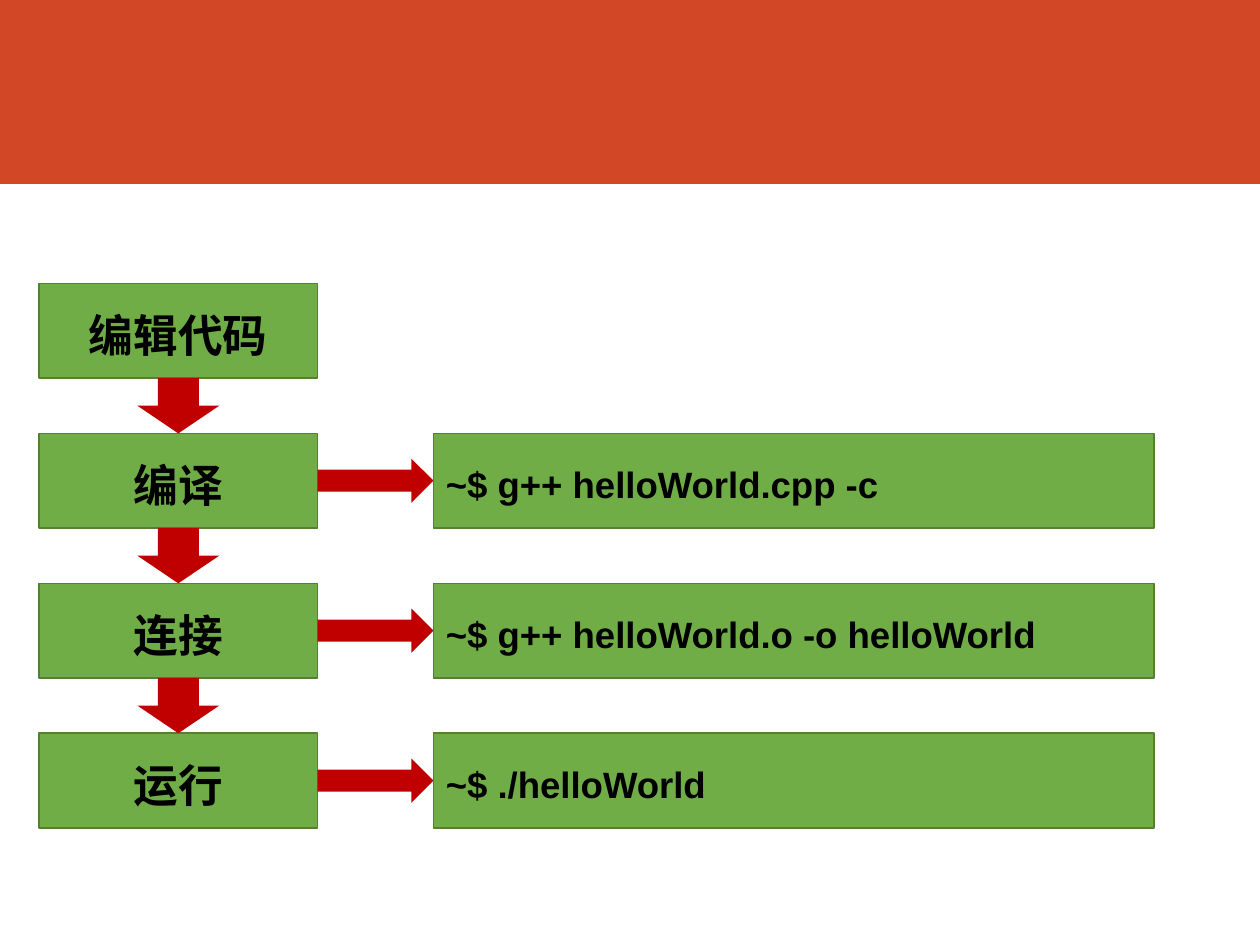
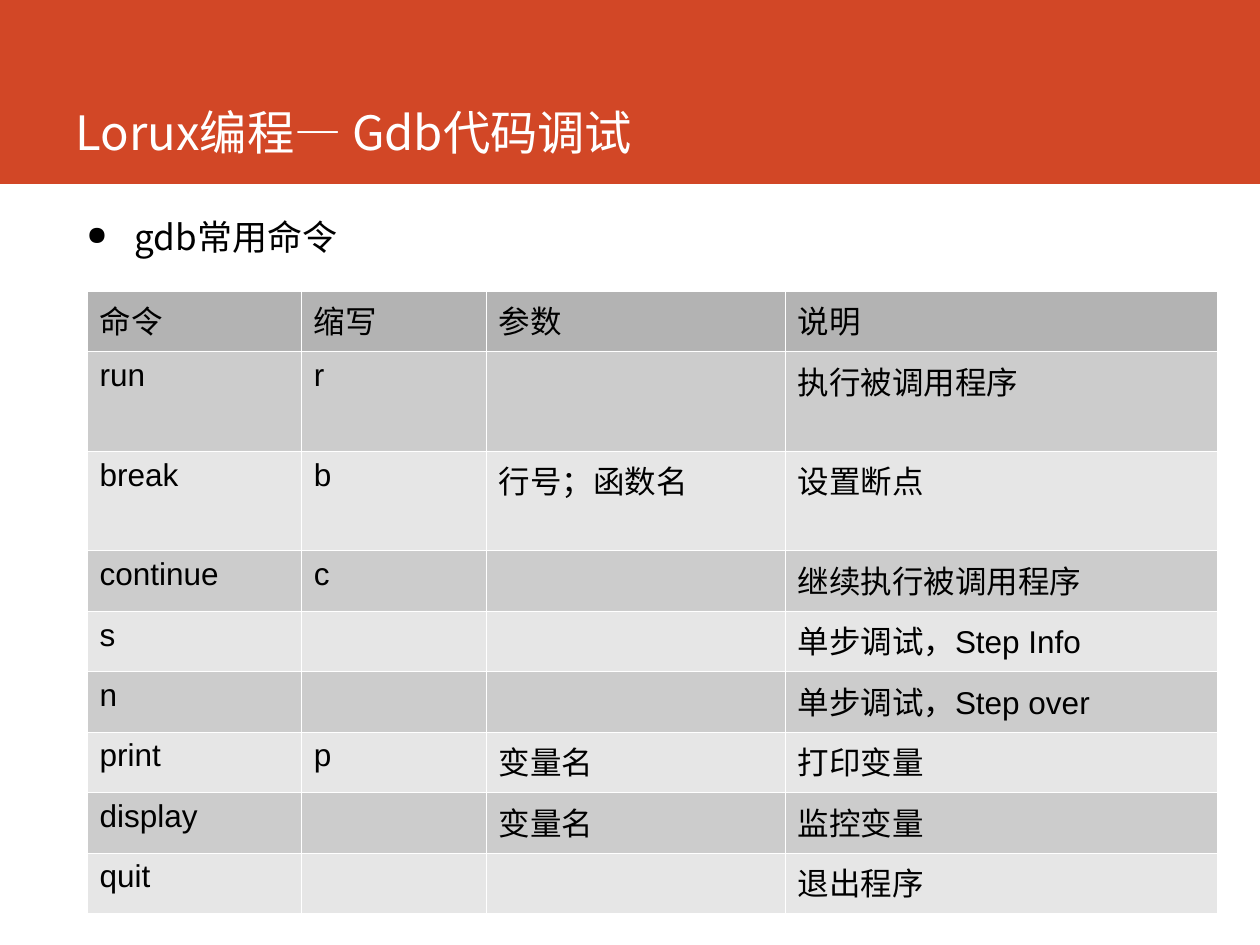
import pptx
import pptx.dml.color
import pptx.enum.shapes
import pptx.enum.text
import pptx.oxml
import pptx.oxml.ns
import pptx.util
from lxml import etree

Inches, Pt = pptx.util.Inches, pptx.util.Pt
SHAPE = pptx.enum.shapes.MSO_SHAPE
ALIGN = pptx.enum.text.PP_ALIGN
ANCHOR = pptx.enum.text.MSO_ANCHOR
qn = pptx.oxml.ns.qn

# Content
STEPS = [
    ("编辑代码", None),
    ("编译", "~$ g++ helloWorld.cpp -c"),
    ("连接", "~$ g++ helloWorld.o -o helloWorld"),
    ("运行", "~$ ./helloWorld"),
]
TITLE = "Lorux编程— Gdb代码调试"
BULLET = "gdb常用命令"
COMMANDS = [
    ("命令", "缩写", "参数", "说明"),
    ("run", "r", "", "执行被调用程序"),
    ("break", "b", "行号；函数名", "设置断点"),
    ("continue", "c", "", "继续执行被调用程序"),
    ("s", "", "", "单步调试，Step Info"),
    ("n", "", "", "单步调试，Step over"),
    ("print", "p", "变量名", "打印变量"),
    ("display", "", "变量名", "监控变量"),
    ("quit", "", "", "退出程序"),
]

# Shared look
WIDTH, HEIGHT = 10, 7.5
BAND_H = 1.46
BAND, BOX, BOX_LINE, ARROW = "D24726", "70AD47", "538035", "C00000"
BLACK, WHITE = "000000", "FFFFFF"
HEADER, BANDS = "B3B3B3", ("CCCCCC", "E6E6E6")
LATIN, CJK = "Arial", "Noto Sans CJK SC"

# Flow grid
STEP_X, STEP_W = 0.31, 2.21
CODE_X, CODE_W = 3.44, 5.72
FLOW_TOP, PITCH, BOX_H = 2.25, 1.19, 0.75
DOWN_W, RIGHT_H = 0.65, 0.35

# Table grid
COL_W = (1.7, 1.47, 2.37, 3.43)
ROW_H, TALL_ROW_H, TALL_ROWS = 0.48, 0.79, (1, 2)


def color(hex_text):
    """Turn a hex string into a colour."""
    return pptx.dml.color.RGBColor.from_string(hex_text)


def place(sp, x, y, w, h):
    """Move and size a shape, in inches."""
    sp.left, sp.top, sp.width, sp.height = map(Inches, (x, y, w, h))


def style_runs(p, size, ink, font=LATIN, bold=False):
    """Format every run of a paragraph and return the runs."""
    for r in p.runs:
        r.font.name, r.font.size, r.font.bold = font, Pt(size), bold
        r.font.color.rgb = color(ink)
        ea = etree.SubElement(r.font._element, qn("a:ea"))
        ea.set("typeface", CJK)
    return p.runs


def add_block(s, kind, x, y, w, h, fill, line=None):
    """Add a flat filled shape, outlined if a line colour is given."""
    sp = s.shapes.add_shape(kind, *map(Inches, (x, y, w, h)))
    sp.shadow.inherit = False
    sp.fill.solid()
    sp.fill.fore_color.rgb = color(fill)
    if line:
        sp.line.color.rgb = color(line)
        sp.line.width = Pt(1)
    else:
        sp.line.fill.background()
    return sp


def add_box(s, x, y, w, text, size, align):
    """Add a green box with raised bold text."""
    sp = add_block(s, SHAPE.RECTANGLE, x, y, w, BOX_H, BOX, BOX_LINE)
    tf = sp.text_frame
    tf.word_wrap = True
    tf.vertical_anchor = ANCHOR.MIDDLE
    p = tf.paragraphs[0]
    p.text, p.alignment = text, align
    for r in style_runs(p, size, BLACK, bold=True):
        r.font._element.set("baseline", "12000")


def add_band(prs, s):
    """Put the title band on the master, behind its placeholders."""
    band = add_block(s, SHAPE.RECTANGLE, 0, 0, WIDTH, BAND_H, BAND)
    prs.slide_master.shapes.element.insert(2, band.element)


def add_flow(s):
    """Draw the build steps, their commands and the arrows."""
    step_right = STEP_X + STEP_W
    for i, (step, command) in enumerate(STEPS):
        y = FLOW_TOP + i * PITCH
        add_box(s, STEP_X, y, STEP_W, step, 44, ALIGN.CENTER)
        if i:
            gap = PITCH - BOX_H
            add_block(s, SHAPE.DOWN_ARROW, STEP_X + (STEP_W - DOWN_W) / 2,
                      y - gap, DOWN_W, gap, ARROW)
        if command:
            add_block(s, SHAPE.RIGHT_ARROW, step_right,
                      y + (BOX_H - RIGHT_H) / 2, CODE_X - step_right,
                      RIGHT_H, ARROW)
            add_box(s, CODE_X, y, CODE_W, command, 36, ALIGN.LEFT)


def add_title(s, text):
    """Fill the title placeholder, sitting low in the band."""
    place(s.shapes.title, 0.5, 0, 8.82, 1.32)
    tf = s.shapes.title.text_frame
    tf.text = text
    tf.vertical_anchor = ANCHOR.BOTTOM
    tf.paragraphs[0].alignment = ALIGN.LEFT
    style_runs(tf.paragraphs[0], 27, WHITE, CJK)


def add_bullet(s, text):
    """Add the bulleted line above the table."""
    tf = s.shapes.add_textbox(*map(Inches, (0.59, 1.63, 8.73, 0.68))).text_frame
    tf.word_wrap = True
    p = tf.paragraphs[0]
    p.text = text
    p.line_spacing, p.space_before, p.space_after = 1.1, Pt(6), Pt(9)
    style_runs(p, 20, BLACK, CJK)
    pPr = p._p.get_or_add_pPr()
    indent = Inches(0.38)
    pPr.set("marL", str(indent))
    pPr.set("indent", str(-indent))
    etree.SubElement(pPr, qn("a:buSzPct")).set("val", "75000")
    etree.SubElement(pPr, qn("a:buChar")).set("char", "●")


def style_cell(cell, text, fill):
    """Fill a cell, write its text and give it hairline white borders."""
    cell.fill.solid()
    cell.fill.fore_color.rgb = color(fill)
    cell.margin_top = Inches(0.07)
    p = cell.text_frame.paragraphs[0]
    p.text, p.line_spacing = text, 0.93
    style_runs(p, 18, BLACK)
    tcPr = cell._tc.get_or_add_tcPr()
    for i, side in enumerate(("lnL", "lnR", "lnT", "lnB")):
        ln = etree.Element(qn("a:" + side), w=str(Pt(0.06)))
        solid = etree.SubElement(ln, qn("a:solidFill"))
        etree.SubElement(solid, qn("a:srgbClr")).set("val", WHITE)
        tcPr.insert(i, ln)


def add_commands(s):
    """Add the table of debugger commands."""
    heights = [TALL_ROW_H if i in TALL_ROWS else ROW_H
               for i in range(len(COMMANDS))]
    box = map(Inches, (0.69, 2.31, sum(COL_W), sum(heights)))
    table = s.shapes.add_table(len(COMMANDS), len(COL_W), *box).table
    table.first_row = table.horz_banding = False
    for col, w in zip(table.columns, COL_W):
        col.width = Inches(w)
    for i, (row, h) in enumerate(zip(table.rows, heights)):
        row.height = Inches(h)
        fill = BANDS[(i - 1) % 2] if i else HEADER
        for cell, text in zip(row.cells, COMMANDS[i]):
            style_cell(cell, text, fill)


prs = pptx.Presentation()
prs.slide_width, prs.slide_height = Inches(WIDTH), Inches(HEIGHT)
TITLE_ONLY, BLANK = prs.slide_layouts[5], prs.slide_layouts[6]

s = prs.slides.add_slide(BLANK)
add_band(prs, s)
add_flow(s)

s = prs.slides.add_slide(TITLE_ONLY)
add_title(s, TITLE)
add_commands(s)
add_bullet(s, BULLET)

prs.save("out.pptx")
